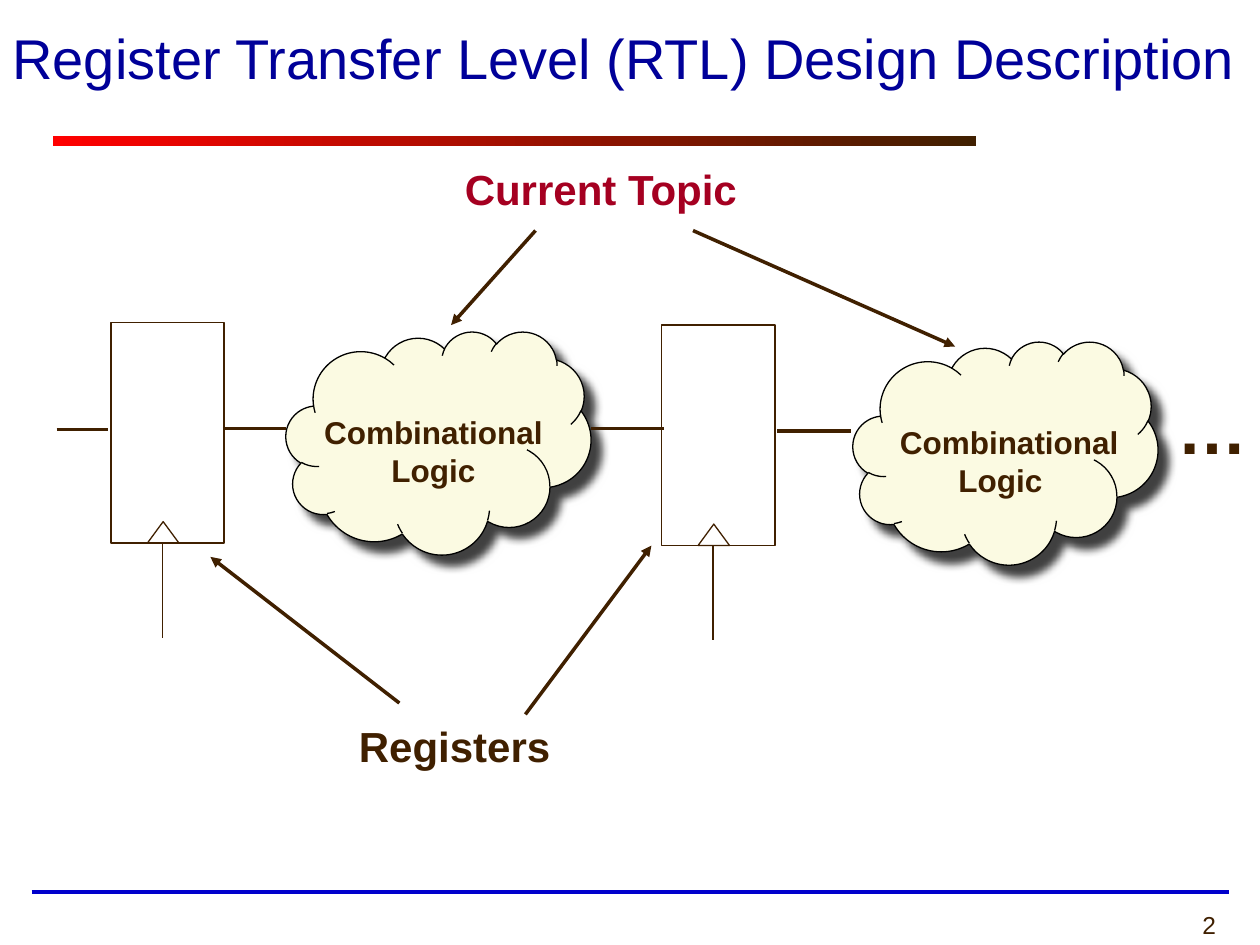
from pptx import Presentation
from pptx.dml.color import RGBColor
from pptx.enum.shapes import MSO_CONNECTOR, MSO_SHAPE
from pptx.enum.text import MSO_ANCHOR, PP_ALIGN
from pptx.oxml import parse_xml
from pptx.oxml.ns import nsdecls
from pptx.util import Pt

PX = 9144  # EMU in one px, 100 px to the inch
STRAIGHT = MSO_CONNECTOR.STRAIGHT
RECTANGLE, TRIANGLE, CLOUD = MSO_SHAPE.RECTANGLE, MSO_SHAPE.ISOSCELES_TRIANGLE, MSO_SHAPE.CLOUD
LEFT, CENTER, RIGHT = PP_ALIGN.LEFT, PP_ALIGN.CENTER, PP_ALIGN.RIGHT
TOP, MIDDLE = MSO_ANCHOR.TOP, MSO_ANCHOR.MIDDLE

BROWN, NAVY, BLUE, CRIMSON = "402000", "000099", "0000CC", "A50021"
RED, CREAM, BLACK = "FF0000", "FBFAE2", "000000"

CLOUD_SHADOW = (
    f'<a:effectLst {nsdecls("a")}>'
    '<a:outerShdw blurRad="63500" dist="107950" dir="2700000" algn="ctr" rotWithShape="0">'
    f'<a:srgbClr val="{BLACK}"><a:alpha val="75000"/></a:srgbClr>'
    "</a:outerShdw></a:effectLst>"
)


def color(hex_string):
    return RGBColor.from_string(hex_string)


def emu(*lengths):
    return [length * PX for length in lengths]


class SlideBuilder:
    def __init__(self, slide, font="Arial", ink=BROWN):
        self.slide = slide
        self.font = font
        self.ink = ink

    def text(self, box, lines, size, ink=None, bold=False, align=LEFT, anchor=TOP, indents=()):
        """Add a text box; indents shift the left edge of each line, in px."""
        frame = self.slide.shapes.add_textbox(*emu(*box)).text_frame
        frame.word_wrap = True
        frame.vertical_anchor = anchor
        font_format = {"name": self.font, "size": Pt(size), "bold": bold}
        for index, line in enumerate(lines):
            paragraph = frame.add_paragraph() if index else frame.paragraphs[0]
            paragraph.alignment = align
            if indents:
                properties = paragraph._p.get_or_add_pPr()
                properties.set("marL", str(indents[index] * PX))
                properties.set("indent", "0")
            run = paragraph.add_run()
            run.text = line
            for name, value in font_format.items():
                setattr(run.font, name, value)
            run.font.color.rgb = color(ink or self.ink)

    def line(self, start, end, width=2, ink=None, arrow=False):
        connector = self.slide.shapes.add_connector(STRAIGHT, *emu(*start, *end))
        connector.line.width = Pt(width)
        connector.line.color.rgb = color(ink or self.ink)
        if arrow:
            connector.line._get_or_add_ln().append(
                parse_xml(f'<a:tailEnd {nsdecls("a")} type="triangle"/>'))
        connector._element.spPr.append(parse_xml(f'<a:effectLst {nsdecls("a")}/>'))

    def outline(self, kind, box, width, fill=None, ink=None):
        shape = self.slide.shapes.add_shape(kind, *emu(*box))
        shape.shadow.inherit = False
        shape.line.width = Pt(width)
        shape.line.color.rgb = color(ink or self.ink)
        if fill:
            shape.fill.solid()
            shape.fill.fore_color.rgb = color(fill)
        else:
            shape.fill.background()
        return shape

    def gradient_bar(self, box, first, last):
        bar = self.slide.shapes.add_shape(RECTANGLE, *emu(*box))
        bar.shadow.inherit = False
        bar.line.fill.background()
        bar.fill.gradient()
        bar.fill.gradient_angle = 0
        for stop, position, ink in zip(bar.fill.gradient_stops, (0, 1), (first, last)):
            stop.position = position
            stop.color.rgb = color(ink)

    def cloud(self, left, top, indents):
        """Add a shadowed cloud of combinational logic with its label."""
        shape = self.outline(CLOUD, (left, top, 242, 177), 0.75, CREAM, BLACK)
        properties = shape._element.spPr
        properties.replace(properties.effectLst, parse_xml(CLOUD_SHADOW)) \
            if hasattr(properties, "effectLst") else properties.append(parse_xml(CLOUD_SHADOW))
        self.text((left - 83, top + 60, 325, 70), ["Combinational", "Logic"], 18,
                  bold=True, align=CENTER, indents=indents)

    def register(self, left, top):
        """Add a register box with its clock input."""
        self.outline(RECTANGLE, (left, top, 90, 175), 1)
        self.outline(TRIANGLE, (left + 29, top + 158, 25, 17), 0.75)
        self.line((left + 41, top + 175), (left + 41, top + 250), 0.75)


def main():
    presentation = Presentation()
    presentation.slide_width, presentation.slide_height = emu(1000, 750)
    builder = SlideBuilder(presentation.slides.add_slide(presentation.slide_layouts[6]))

    builder.line((25, 708), (975, 708), 2.25, BLUE)
    builder.gradient_bar((42, 108, 733, 8), RED, BROWN)
    builder.text((758, 717, 217, 33), ["2"], 14, align=RIGHT)
    builder.text((0, -17, 1053, 125), ["Register Transfer Level (RTL) Design Description"],
                 32, NAVY, anchor=MIDDLE)

    builder.cloud(227, 263, (75, 75))
    builder.cloud(677, 271, (89, 75))
    for left, top in ((88, 256), (525, 258)):
        builder.register(left, top)

    for start, end in (((45, 341), (86, 341)), ((177, 340), (227, 340)),
                       ((469, 340), (527, 340)), ((617, 342), (675, 342))):
        builder.line(start, end)

    for box, label, size, ink in (((275, 567, 183, 50), "Registers", 24, BROWN),
                                  ((925, 300, 225, 77), "…", 40, BROWN),
                                  ((359, 125, 298, 50), "Current Topic", 24, CRIMSON)):
        builder.text(box, [label], size, ink, bold=True)

    for start, end in (((317, 558), (167, 442)), ((417, 567), (517, 433)),
                       ((425, 183), (358, 258)), ((550, 183), (758, 275))):
        builder.line(start, end, arrow=True)

    presentation.save("out.pptx")


if __name__ == "__main__":
    main()
